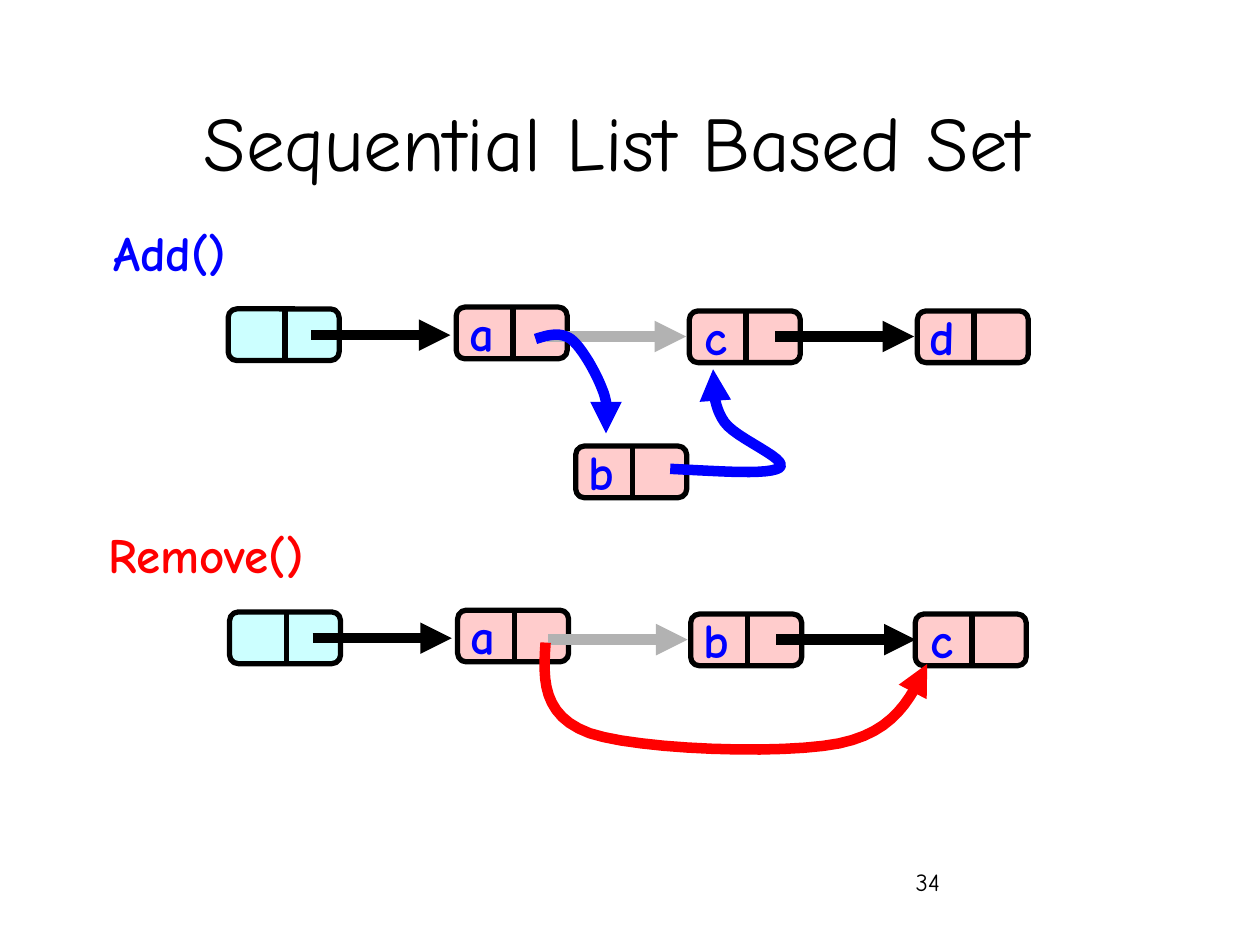
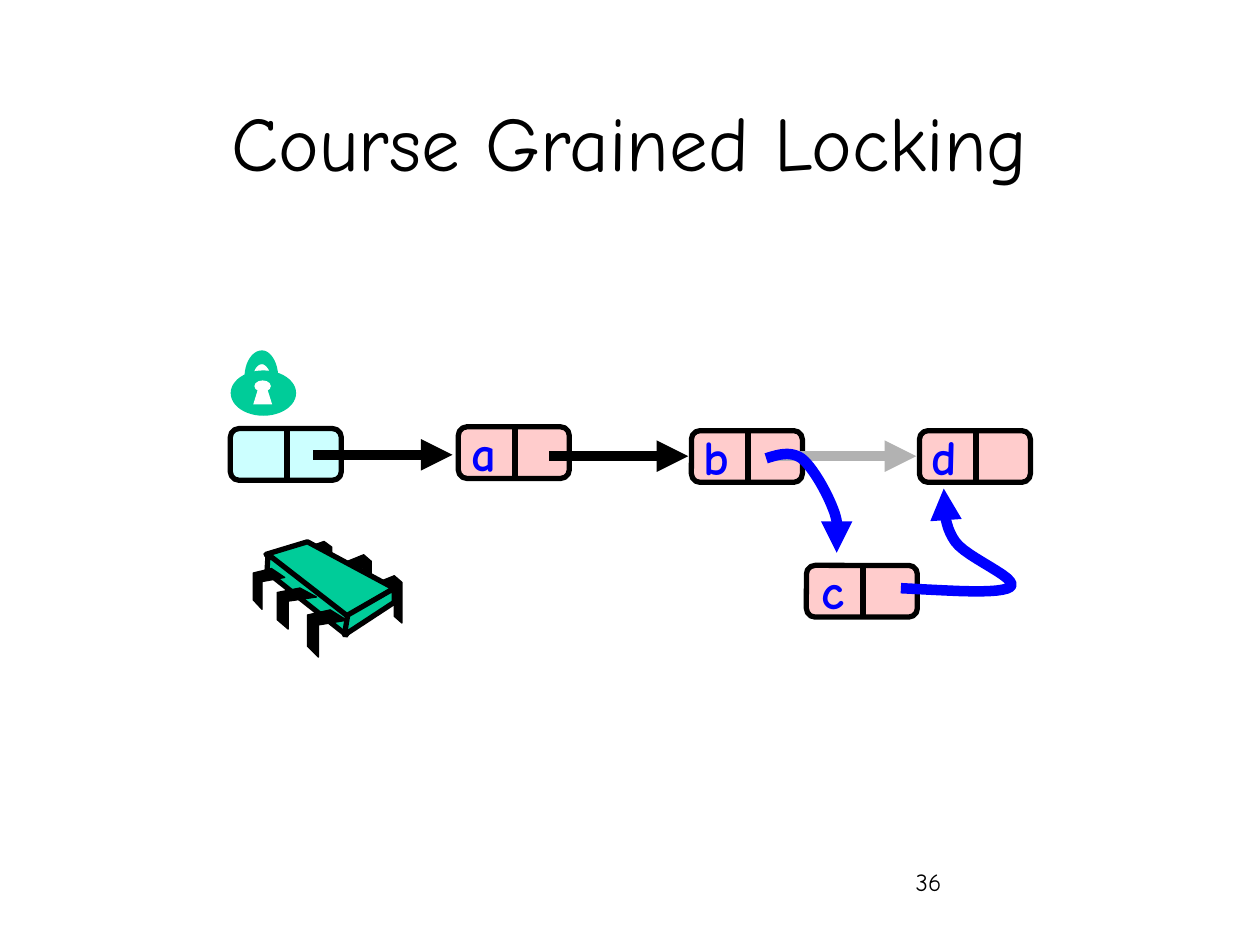
from dataclasses import dataclass
from typing import Any, NamedTuple

from lxml import etree
from pptx import Presentation
from pptx.dml.color import RGBColor
from pptx.enum.shapes import MSO_CONNECTOR, MSO_SHAPE
from pptx.enum.text import MSO_ANCHOR, MSO_AUTO_SIZE, PP_ALIGN
from pptx.oxml.ns import qn
from pptx.util import Pt

ROUND, OVAL = MSO_SHAPE.ROUNDED_RECTANGLE, MSO_SHAPE.OVAL
STRAIGHT = MSO_CONNECTOR.STRAIGHT
LEFT, CENTER, RIGHT = PP_ALIGN.LEFT, PP_ALIGN.CENTER, PP_ALIGN.RIGHT
TOP, MIDDLE = MSO_ANCHOR.TOP, MSO_ANCHOR.MIDDLE
GROW, FIXED = MSO_AUTO_SIZE.SHAPE_TO_FIT_TEXT, MSO_AUTO_SIZE.NONE


@dataclass(frozen=True)
class Theme:
    font: str = "Comic Neue"
    black: RGBColor = RGBColor(0, 0, 0)
    white: RGBColor = RGBColor(0xFF, 0xFF, 0xFF)
    blue: RGBColor = RGBColor(0, 0, 0xFF)
    red: RGBColor = RGBColor(0xFF, 0, 0)
    grey: RGBColor = RGBColor(0xB2, 0xB2, 0xB2)
    green: RGBColor = RGBColor(0, 0xCC, 0x99)
    cyan: RGBColor = RGBColor(0xCC, 0xFF, 0xFF)
    pink: RGBColor = RGBColor(0xFF, 0xCC, 0xCC)
    title: float = 44
    label: float = 28
    page: float = 14
    hair: float = 0.75
    edge: float = 3
    arrow: float = 6


class Spot(NamedTuple):
    x: float
    y: float


class Box(NamedTuple):
    x: float
    y: float
    w: float
    h: float


class Chain(NamedTuple):
    x: float
    y: float
    keys: str
    old: int
    nudge: float = 0


class Leg(NamedTuple):
    box: Box
    form: list[Spot]


def spots(*pairs: tuple[float, float]) -> list[Spot]:
    return [Spot(*pair) for pair in pairs]


THEME = Theme()
NODE_W, NODE_H, SPLIT = 63.4, 29.5, 32.4
KEY_END, KEY_RISE, KEY_H = 28.8, 6.1, 41
KEY_W = {"a": 30.2, "b": 31, "c": 28.8, "d": 31}
NODES = spots((0, 0), (130.3, -1), (263.5, 1.2), (393.8, 1.2))
LINKS = spots((47.5, 15), (182.2, 15.8), (312.5, 15.8))
LINK_W = 79.5
STEPS = 12

NEW_NODE = Spot(23, 61.2)
HOOK = spots((0, 0), (7.2, -2.2), (13.7, -4.3), (20.2, 0), (26.6, 5),
             (34.6, 19.4), (38.2, 28.8), (41.8, 37.4), (41, 45.4), (40.3, 54))
RETURN = spots((77, 74.2), (105.8, 75.6), (133.9, 77.8), (139.7, 73.4),
               (144.7, 68.4), (114.5, 56.9), (108, 47.5), (101.5, 38.2),
               (101.5, 27.4), (101.5, 17.3))
BYPASS = spots((311.8, 367.2), (310.3, 388.1), (309.6, 409), (337, 419),
               (365, 428.4), (447.1, 431.3), (479.5, 424.8), (511.2, 418.3),
               (520.6, 398.9), (529.9, 379.4))

INNER = spots((144.7, 216), (144.7, 211.7), (146.9, 208.1), (149.8, 208.1),
              (151.9, 208.1), (154.8, 211.7), (154.8, 216))
OUTER = spots((159.1, 216), (159.1, 207.4), (154.8, 200.2), (149.8, 200.2),
              (144, 200.2), (139.7, 207.4), (139.7, 216))
KEYHOLE = spots((144.7, 231.1), (147.6, 221.8), (152.6, 221.8), (155.5, 231.1))

BACK = spots((0, 0.14), (0.68, 0), (1, 0.14), (1, 1), (0.68, 0.86),
             (0.68, 0.27), (0, 0.42))
FRONT = spots((0.58, 0), (1, 0.22), (0.28, 0.32), (0.28, 1), (0, 0.77),
              (0, 0.11))
REAR_LEGS = [Leg(Box(216, 329, 13.7, 27), BACK),
             Leg(Box(198.5, 317, 13.7, 27), BACK),
             Leg(Box(175.9, 309.4, 13.7, 23), BACK)]
FORE_LEGS = [Leg(Box(175.7, 348.5, 22.5, 27), FRONT),
             Leg(Box(158.4, 336, 22.5, 23.5), FRONT),
             Leg(Box(144.7, 324.9, 18, 23.3), FRONT)]
FACES = [
    spots((175.7, 309.6), (225.3, 336.2), (198.2, 352.5), (152, 316.8)),
    spots((153.2, 316.8), (198.7, 352.1), (198, 362.9), (152.6, 326.9)),
    spots((225.3, 336.2), (225.3, 344.2), (196.8, 362.9), (198.7, 351.5)),
]


def style(shape: Any, fill: RGBColor | None, line: RGBColor | None = None,
          width: float = 0) -> None:
    shape.shadow.inherit = False
    if fill is None:
        shape.fill.background()
    else:
        shape.fill.solid()
        shape.fill.fore_color.rgb = fill
    if line is None:
        shape.line.fill.background()
    else:
        shape.line.color.rgb = line
        shape.line.width = Pt(width)


def add_head(shape: Any) -> None:
    line = shape.element.spPr.find(qn("a:ln"))
    etree.SubElement(line, qn("a:tailEnd"), type="triangle")


def add_text(shapes: Any, box: Box, text: str, size: float, color: RGBColor,
             align: PP_ALIGN = LEFT, anchor: MSO_ANCHOR = TOP,
             label: bool = False) -> None:
    frame = shapes.add_textbox(*map(Pt, box)).text_frame
    frame.word_wrap = not label
    frame.auto_size = GROW if label else FIXED
    frame.vertical_anchor = anchor
    para = frame.paragraphs[0]
    para.alignment = align
    run = para.add_run()
    run.text = text
    run.font.name = THEME.font
    run.font.size = Pt(size)
    run.font.bold = label
    run.font.color.rgb = color


def add_line(shapes: Any, start: Spot, end: Spot, color: RGBColor,
             width: float, head: bool = False) -> None:
    line = shapes.add_connector(STRAIGHT, *map(Pt, start + end))
    line.line.color.rgb = color
    line.line.width = Pt(width)
    if head:
        add_head(line)
    etree.SubElement(line.element.spPr, qn("a:effectLst"))


def add_form(shapes: Any, points: list[Spot], closed: bool = True) -> Any:
    first, *rest = [(Pt(x), Pt(y)) for x, y in points]
    form = shapes.build_freeform(*first)
    form.add_line_segments(rest, close=closed)
    return form.convert_to_shape()


def bend(points: list[Spot]) -> list[Spot]:
    curve = [points[0]]
    for i in range(0, len(points) - 1, 3):
        part = points[i:i + 4]
        for step in range(1, STEPS + 1):
            t = step / STEPS
            u = 1 - t
            rates = (u ** 3, 3 * u * u * t, 3 * u * t * t, t ** 3)
            curve.append(Spot(sum(r * p.x for r, p in zip(rates, part)),
                              sum(r * p.y for r, p in zip(rates, part))))
    return curve


def add_curve(shapes: Any, points: list[Spot], color: RGBColor) -> None:
    curve = add_form(shapes, bend(points), closed=False)
    style(curve, None, color, THEME.arrow)
    add_head(curve)


def add_node(shapes: Any, x: float, y: float, key: str) -> None:
    cell = shapes.add_shape(ROUND, *map(Pt, (x, y, NODE_W, NODE_H)))
    style(cell, THEME.pink if key.strip() else THEME.cyan,
          THEME.black, THEME.edge)
    add_line(shapes, Spot(x + SPLIT, y), Spot(x + SPLIT, y + NODE_H),
             THEME.black, THEME.edge)
    if key.strip():
        wide = KEY_W[key]
        add_text(shapes, Box(x + KEY_END - wide, y - KEY_RISE, wide, KEY_H),
                 key, THEME.label, THEME.blue, RIGHT, label=True)


def add_chain(shapes: Any, chain: Chain) -> None:
    last = len(NODES) - 1
    for i, (spot, key) in enumerate(zip(NODES, " " + chain.keys)):
        shift = chain.nudge if i == last else 0
        add_node(shapes, chain.x + spot.x + shift, chain.y + spot.y, key)
    for i, spot in enumerate(LINKS):
        start = Spot(chain.x + spot.x, chain.y + spot.y)
        add_line(shapes, start, Spot(start.x + LINK_W, start.y),
                 THEME.grey if i == chain.old else THEME.black,
                 THEME.arrow, head=True)


def add_splice(shapes: Any, at: Spot, key: str) -> None:
    add_node(shapes, at.x + NEW_NODE.x, at.y + NEW_NODE.y, key)
    for curve in (RETURN, HOOK):
        add_curve(shapes, [Spot(at.x + x, at.y + y) for x, y in curve],
                  THEME.blue)


def add_lock(slide: Any) -> None:
    shapes = slide.shapes.add_group_shape().shapes
    for box, color in ((Box(131.8, 211.7, 37.4, 25.9), THEME.green),
                       (Box(145.4, 217.4, 9.4, 6.5), THEME.white)):
        style(shapes.add_shape(OVAL, *map(Pt, box)), color)
    style(add_form(shapes, KEYHOLE), THEME.white)
    style(add_form(shapes, bend(INNER) + bend(OUTER)), THEME.green)


def add_legs(shapes: Any, legs: list[Leg]) -> None:
    for box, form in legs:
        points = [Spot(box.x + x * box.w, box.y + y * box.h) for x, y in form]
        style(add_form(shapes, points), THEME.black, THEME.black, THEME.hair)


def add_chip(slide: Any) -> None:
    shapes = slide.shapes.add_group_shape().shapes
    add_legs(shapes, REAR_LEGS)
    for face in FACES:
        style(add_form(shapes, face), THEME.green, THEME.black, THEME.edge)
    add_legs(shapes, FORE_LEGS)


def add_slide(deck: Any, title: str, page: str) -> Any:
    slide = deck.slides.add_slide(deck.slide_layouts[6])
    add_text(slide.shapes, Box(516.2, 491.8, 149.8, 36), page,
             THEME.page, THEME.black)
    add_text(slide.shapes, Box(54, 35.3, 612, 90), title,
             THEME.title, THEME.black, CENTER, MIDDLE)
    return slide


def draw_set(deck: Any) -> None:
    shapes = add_slide(deck, "Sequential List Based Set ", "34").shapes
    add_chain(shapes, Chain(130.4, 176.5, "acd", 1))
    add_splice(shapes, Spot(306, 193.7), "b")
    add_chain(shapes, Chain(131.2, 349.7, "abc", 1, -2))
    add_curve(shapes, BYPASS, THEME.red)
    add_text(shapes, Box(57.6, 123.8, 100.8, KEY_H), "Add()",
             THEME.label, THEME.blue, label=True)
    add_text(shapes, Box(54.7, 295.9, 146.2, KEY_H), "Remove()",
             THEME.label, THEME.red, label=True)


def draw_lock(deck: Any) -> None:
    slide = add_slide(deck, "Course Grained Locking", "36")
    add_chain(slide.shapes, Chain(131.6, 244.9, "abd", 2))
    add_lock(slide)
    add_splice(slide.shapes, Spot(437.8, 261.9), "c")
    add_chip(slide)


def main() -> None:
    deck = Presentation()
    deck.slide_width, deck.slide_height = Pt(720), Pt(540)
    draw_set(deck)
    draw_lock(deck)
    deck.save("out.pptx")


if __name__ == "__main__":
    main()
